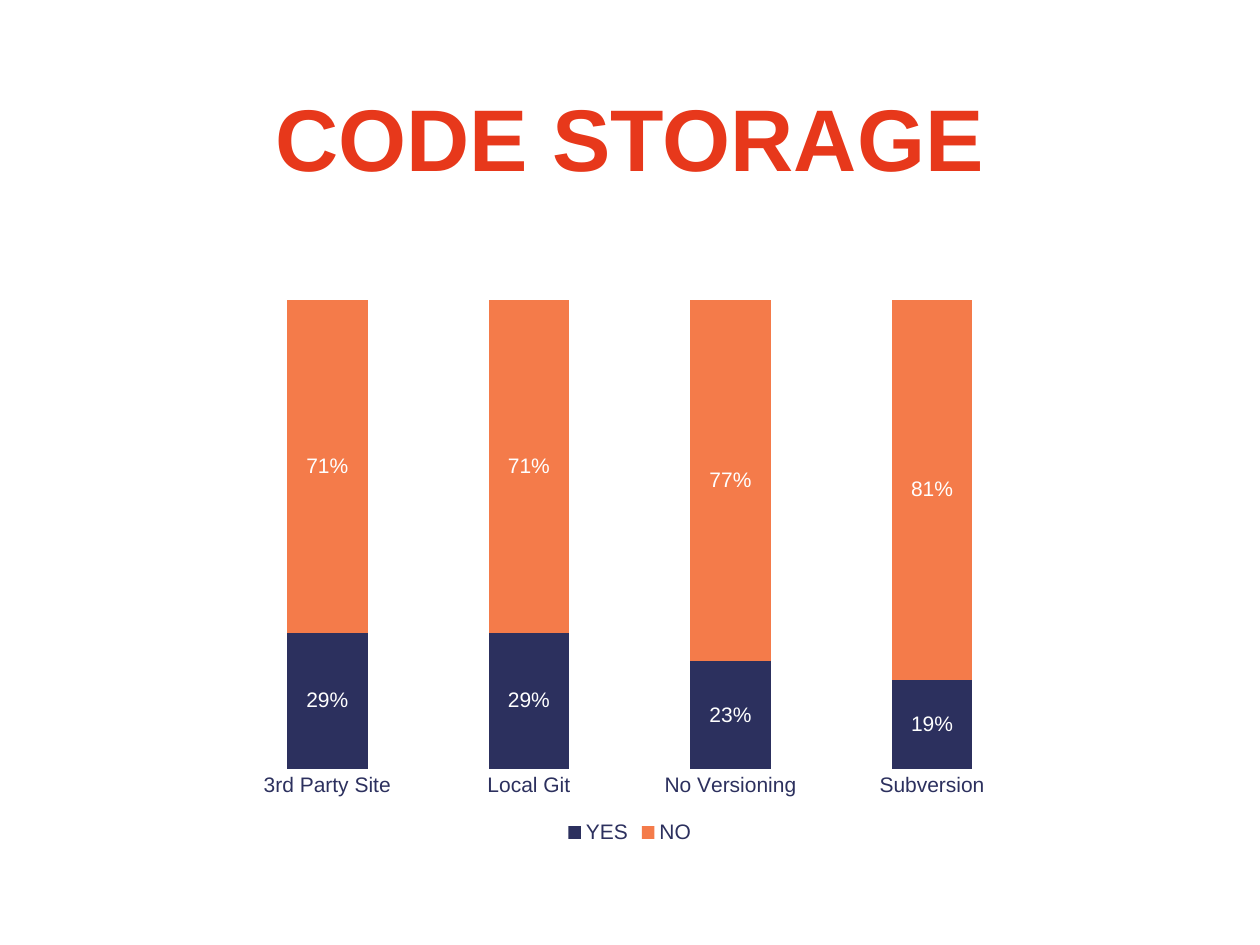
from pptx import Presentation
from pptx.chart.data import CategoryChartData
from pptx.dml.color import RGBColor
from pptx.enum.chart import XL_CHART_TYPE as ChartType
from pptx.enum.chart import XL_LABEL_POSITION as LabelPosition
from pptx.enum.chart import XL_LEGEND_POSITION as LegendPosition
from pptx.enum.chart import XL_TICK_MARK as TickMark
from pptx.enum.text import MSO_ANCHOR as Anchor
from pptx.enum.text import PP_ALIGN as Align
from pptx.util import Cm, Pt

COLORS = {"title": "E7381B", "navy": "2C305E", "orange": "F47B4A", "white": "FFFFFF"}
FONT = "Arial"
CATEGORIES = ["3rd Party Site", "Local Git", "No Versioning", "Subversion"]
SERIES = [
    ("YES", [0.29, 0.29, 0.23, 0.19], "navy"),
    ("NO", [0.71, 0.71, 0.77, 0.81], "orange"),
]


def style_font(font, size, color, bold=False):
    """Set typeface, size, weight and colour of a font."""
    font.name = FONT
    font.size = Pt(size)
    font.bold = bold
    font.color.rgb = RGBColor.from_string(COLORS[color])


def add_title(page, text):
    """Add the centred headline."""
    box = page.shapes.add_textbox(Cm(1.06), Cm(1.06), Cm(23.28), Cm(3.39))
    frame = box.text_frame
    frame.word_wrap = True
    frame.vertical_anchor = Anchor.MIDDLE
    frame.text = text
    para = frame.paragraphs[0]
    para.alignment = Align.CENTER
    style_font(para.runs[0].font, 50, "title", bold=True)


def style_series(series, color):
    """Fill one series and show its values as centred percentages."""
    series.format.fill.solid()
    series.format.fill.fore_color.rgb = RGBColor.from_string(COLORS[color])
    labels = series.data_labels
    labels.show_value = True
    labels.number_format = "0%"
    labels.number_format_is_linked = False
    labels.position = LabelPosition.CENTER
    style_font(labels.font, 12, "white")


def style_axes(chart):
    """Keep only the category names visible."""
    category_axis = chart.category_axis
    category_axis.major_tick_mark = TickMark.NONE
    category_axis.minor_tick_mark = TickMark.NONE
    category_axis.format.line.fill.background()
    style_font(category_axis.tick_labels.font, 12, "navy")
    value_axis = chart.value_axis
    value_axis.has_major_gridlines = False
    value_axis.visible = False
    value_axis.tick_labels.number_format = "0%"
    value_axis.tick_labels.number_format_is_linked = False


def add_storage_chart(page):
    """Add the stacked column chart with its legend."""
    data = CategoryChartData(number_format="0%")
    data.categories = CATEGORIES
    for name, values, _ in SERIES:
        data.add_series(name, values)
    frame = page.shapes.add_chart(
        ChartType.COLUMN_STACKED_100, Cm(4.23), Cm(5.82), Cm(16.93), Cm(11.29), data
    )
    chart = frame.chart
    chart.has_title = False
    style_font(chart.font, 10, "white")
    plot = chart.plots[0]
    plot.gap_width = 150
    plot.overlap = 100
    plot.vary_by_categories = False
    for series, (_, _, color) in zip(plot.series, SERIES):
        style_series(series, color)
    style_axes(chart)
    chart.has_legend = True
    chart.legend.position = LegendPosition.BOTTOM
    chart.legend.include_in_layout = False
    style_font(chart.legend.font, 12, "navy")


def main():
    """Build and save the slide."""
    deck = Presentation()
    deck.slide_width = Cm(25.4)
    deck.slide_height = Cm(19.05)
    page = deck.slides.add_slide(deck.slide_layouts[6])
    add_title(page, "CODE STORAGE")
    add_storage_chart(page)
    deck.save("out.pptx")


if __name__ == "__main__":
    main()
